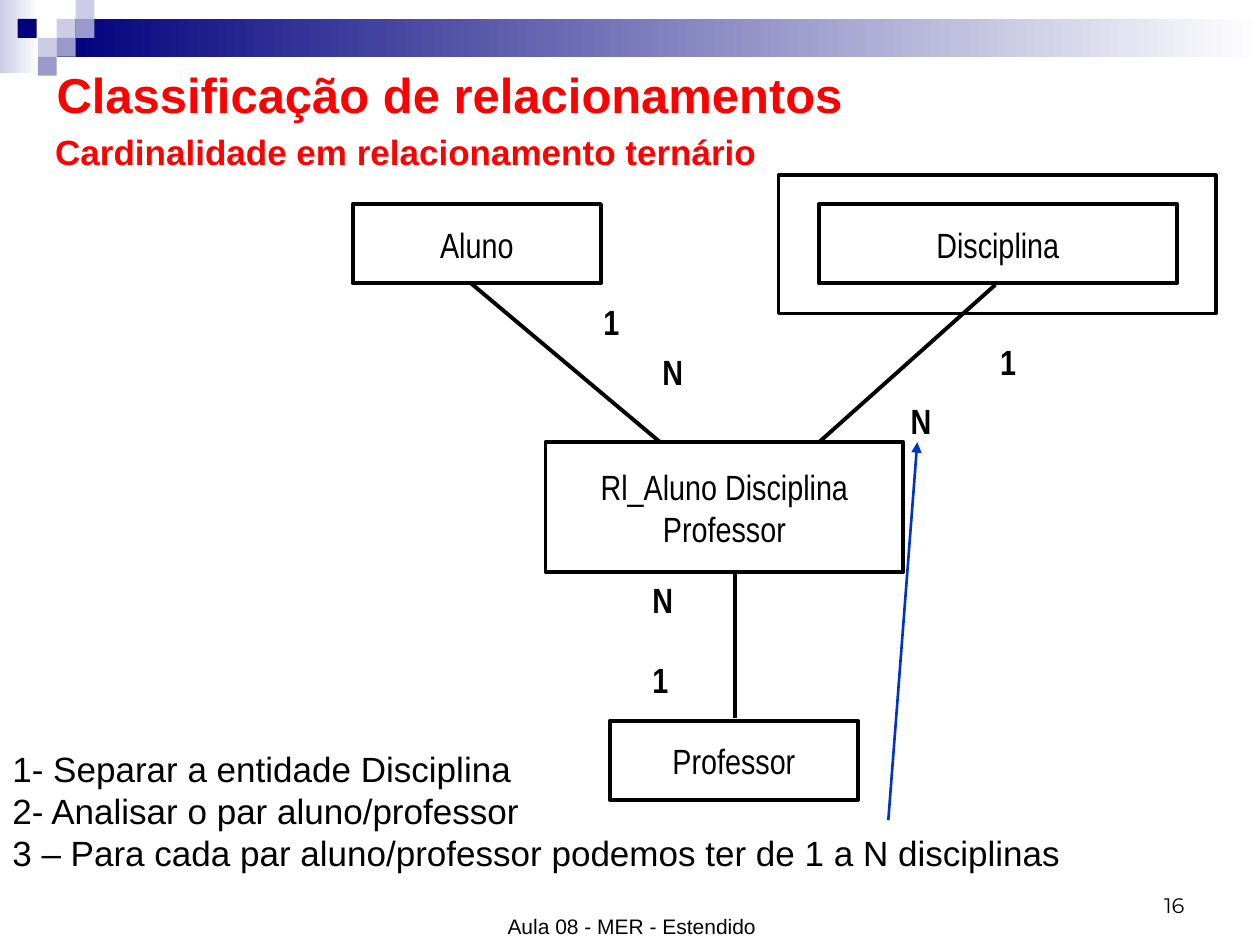
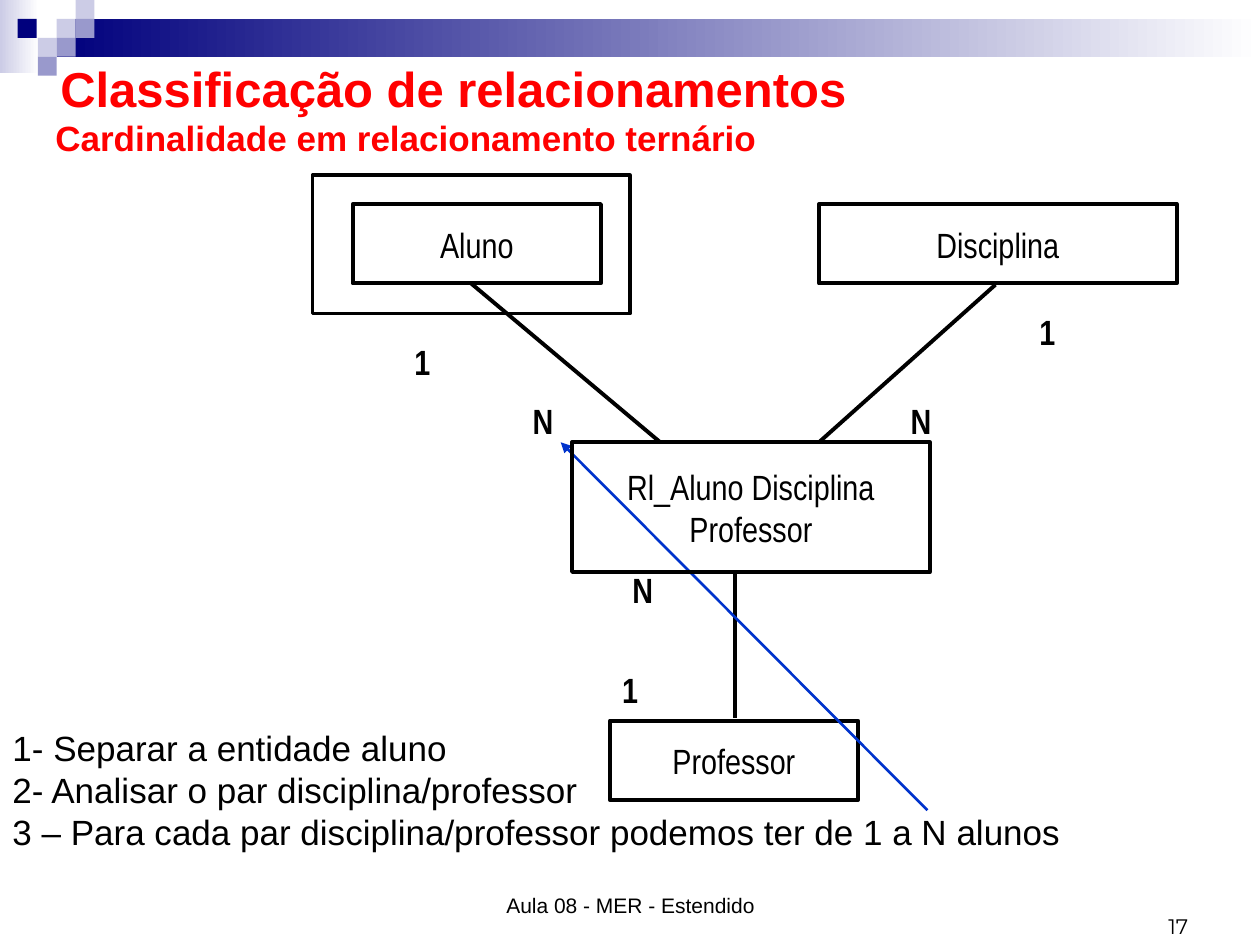
"""Builds two slides on the cardinality of a ternary relationship."""
from dataclasses import dataclass

from lxml import etree
from pptx import Presentation
from pptx.dml.color import RGBColor
from pptx.enum.shapes import MSO_CONNECTOR as Connector, MSO_SHAPE as Preset
from pptx.enum.text import MSO_ANCHOR as Anchor, MSO_AUTO_SIZE as AutoSize, PP_ALIGN as Align
from pptx.oxml.ns import qn
from pptx.slide import Slide
from pptx.util import Inches, Pt

COLORS = {
    "text": "000000",
    "title": "FF0000",
    "navy": "00007D",
    "lilac": "CCCCE6",
    "violet": "9999CC",
    "white": "FFFFFF",
    "pointer": "0033CC",
}
SQUARE = 0.15


@dataclass(frozen=True)
class Box:
    """Left, top, width and height in inches."""
    left: float
    top: float
    width: float
    height: float

    def lengths(self) -> tuple:
        return tuple(Inches(value) for value in (self.left, self.top, self.width, self.height))


@dataclass(frozen=True)
class Style:
    """Look of the text in one kind of box."""
    size: float = 20
    font: str = "Arial"
    color: str = "text"
    bold: bool = False
    align: Align = Align.LEFT
    anchor: Anchor = Anchor.TOP
    spacing: float = 1.0
    wrap: bool = True
    grow: bool = False


@dataclass(frozen=True)
class Line:
    """Straight line between two points in inches."""
    start: tuple[float, float]
    end: tuple[float, float]
    color: str = "text"
    width: float = 2.25
    arrow: bool = False


@dataclass(frozen=True)
class Page:
    """Everything that differs from slide to slide."""
    heading: Box
    subheading: Box
    frame: Box
    relationship_left: float
    cardinalities: tuple[tuple[str, float, float], ...]
    pointer: Line
    steps: tuple[str, ...]
    steps_box: Box
    number: str
    number_box: Box
    footer_box: Box


HEADING = Style(size=28, color="title", bold=True, anchor=Anchor.MIDDLE)
SUBHEADING = Style(color="title", bold=True, anchor=Anchor.MIDDLE)
ENTITY = Style(font="Arial Narrow", align=Align.CENTER, anchor=Anchor.MIDDLE, spacing=1.01)
CARDINALITY = Style(font="Arial Narrow", bold=True, spacing=1.01, wrap=False, grow=True)
STEPS = Style(grow=True)
FOOTER = Style(size=12, align=Align.CENTER, anchor=Anchor.BOTTOM)
NUMBER = Style(size=12, font="Montserrat", align=Align.RIGHT, anchor=Anchor.BOTTOM)

GRADIENTS = (("lilac", Box(0, 0, 0.31, 0.58)), ("navy", Box(0.45, 0.15, 9.55, 0.3)))
SQUARES = (
    ("lilac", 0.45, 0.15), ("lilac", 0.6, 0), ("violet", 0.6, 0.15), ("lilac", 0.3, 0.3),
    ("navy", 0.14, 0.15), ("violet", 0.45, 0.3), ("violet", 0.3, 0.45),
)
ENTITIES = (
    ("Aluno", Box(2.8, 1.62, 1.97, 0.63)),
    ("Professor", Box(4.84, 5.72, 1.97, 0.63)),
    ("Disciplina", Box(6.5, 1.62, 2.84, 0.63)),
)
LINKS = (
    Line((5.83, 4.54), (5.83, 5.7)),
    Line((3.74, 2.25), (5.24, 3.51)),
    Line((7.9, 2.26), (6.5, 3.51)),
)
PAGES = (
    Page(
        heading=Box(0.35, 0.33, 6.59, 0.83),
        subheading=Box(0.34, 0.87, 7.66, 0.66),
        frame=Box(6.18, 1.39, 3.47, 1.1),
        relationship_left=4.33,
        cardinalities=(("N", 7.13, 3.12), ("1", 7.84, 2.65), ("1", 4.69, 2.33),
                       ("1", 5.08, 5.17), ("N", 5.08, 4.54), ("N", 5.16, 2.73)),
        pointer=Line((7.05, 6.51), (7.28, 3.51), "pointer", 1.5, True),
        steps=("1- Separar a entidade Disciplina",
               "2- Analisar o par aluno/professor",
               "3 – Para cada par aluno/professor podemos ter de 1 a N disciplinas"),
        steps_box=Box(0, 5.88, 9.16, 1.3),
        number="16",
        number_box=Box(7.17, 6.83, 2.33, 0.5),
        footer_box=Box(3.43, 7, 3.17, 0.5),
    ),
    Page(
        heading=Box(0.38, 0.28, 6.59, 0.83),
        subheading=Box(0.34, 0.66, 7.15, 0.87),
        frame=Box(2.48, 1.39, 2.52, 1.1),
        relationship_left=4.54,
        cardinalities=(("N", 7.13, 3.12), ("N", 4.13, 3.12), ("1", 8.15, 2.41),
                       ("1", 3.19, 2.65), ("1", 4.84, 5.25), ("N", 4.92, 4.46)),
        pointer=Line((7.36, 6.43), (4.45, 3.51), "pointer", 1.5, True),
        steps=("1- Separar a entidade aluno",
               "2- Analisar o par disciplina/professor",
               "3 – Para cada par disciplina/professor podemos ter de 1 a N alunos"),
        steps_box=Box(0, 5.72, 9.08, 1.3),
        number="17",
        number_box=Box(7.2, 7, 2.33, 0.5),
        footer_box=Box(3.42, 6.83, 3.17, 0.5),
    ),
)


def rgb(name: str) -> RGBColor:
    """Look up a named colour."""
    return RGBColor.from_string(COLORS[name])


def write(shape, lines: tuple[str, ...], style: Style) -> None:
    """Fill a shape with one paragraph for each line."""
    frame = shape.text_frame
    frame.word_wrap = style.wrap
    frame.auto_size = AutoSize.SHAPE_TO_FIT_TEXT if style.grow else AutoSize.NONE
    frame.vertical_anchor = style.anchor
    for index, line in enumerate(lines):
        paragraph = frame.add_paragraph() if index else frame.paragraphs[0]
        paragraph.alignment = style.align
        paragraph.line_spacing = style.spacing
        run = paragraph.add_run()
        run.text = line
        run.font.name = style.font
        run.font.size = Pt(style.size)
        run.font.bold = style.bold
        run.font.color.rgb = rgb(style.color)


def add_text(slide: Slide, box: Box, style: Style, *lines: str) -> None:
    """Add a text box."""
    write(slide.shapes.add_textbox(*box.lengths()), lines, style)


def add_rectangle(slide: Slide, box: Box):
    """Add a rectangle without a shadow."""
    shape = slide.shapes.add_shape(Preset.RECTANGLE, *box.lengths())
    shape.shadow.inherit = False
    return shape


def add_outline(slide: Slide, box: Box, *lines: str, width: float = 2.25) -> None:
    """Add an unfilled rectangle with a black border and optional text."""
    shape = add_rectangle(slide, box)
    shape.fill.background()
    shape.line.color.rgb = rgb("text")
    shape.line.width = Pt(width)
    write(shape, lines, ENTITY)


def add_line(slide: Slide, line: Line) -> None:
    """Add a straight line, with an arrowhead at its end if asked."""
    points = [Inches(value) for value in (*line.start, *line.end)]
    connector = slide.shapes.add_connector(Connector.STRAIGHT, *points)
    connector.line.color.rgb = rgb(line.color)
    connector.line.width = Pt(line.width)
    if line.arrow:
        etree.SubElement(connector.line._get_or_add_ln(), qn("a:tailEnd"), type="triangle")
    etree.SubElement(connector._element.spPr, qn("a:effectLst"))


def add_band(slide: Slide) -> None:
    """Draw the fading bars and the squares at the top."""
    for color, box in GRADIENTS:
        bar = add_rectangle(slide, box)
        bar.line.fill.background()
        bar.fill.gradient()
        bar.fill.gradient_angle = 0
        for stop, name, position in zip(bar.fill.gradient_stops, (color, "white"), (0, 1)):
            stop.color.rgb = rgb(name)
            stop.position = position
    for color, left, top in SQUARES:
        square = add_rectangle(slide, Box(left, top, SQUARE, SQUARE))
        square.line.fill.background()
        square.fill.solid()
        square.fill.fore_color.rgb = rgb(color)


def add_diagram(slide: Slide, page: Page) -> None:
    """Draw the entities, their relationship and the cardinalities."""
    for name, box in ENTITIES:
        add_outline(slide, box, name)
    for link in LINKS:
        add_line(slide, link)
    add_outline(slide, page.frame, width=2)
    for label, left, top in page.cardinalities:
        add_text(slide, Box(left, top, 0.36 if label == "N" else 0.33, 0.43), CARDINALITY, label)
    add_line(slide, page.pointer)
    relationship = Box(page.relationship_left, 3.51, 2.84, 1.03)
    add_outline(slide, relationship, "Rl_Aluno Disciplina", "Professor")


def add_page(presentation, page: Page) -> None:
    """Add one complete slide."""
    slide = presentation.slides.add_slide(presentation.slide_layouts[6])
    add_band(slide)
    add_text(slide, page.subheading, SUBHEADING, "Cardinalidade em relacionamento ternário")
    add_text(slide, page.heading, HEADING, "Classificação de relacionamentos")
    add_diagram(slide, page)
    add_text(slide, page.steps_box, STEPS, *page.steps)
    add_text(slide, page.number_box, NUMBER, page.number)
    add_text(slide, page.footer_box, FOOTER, "Aula 08 - MER - Estendido")


def main() -> None:
    """Build and save the presentation."""
    presentation = Presentation()
    presentation.slide_width = Inches(10)
    presentation.slide_height = Inches(7.5)
    for page in PAGES:
        add_page(presentation, page)
    presentation.save("out.pptx")


main()
